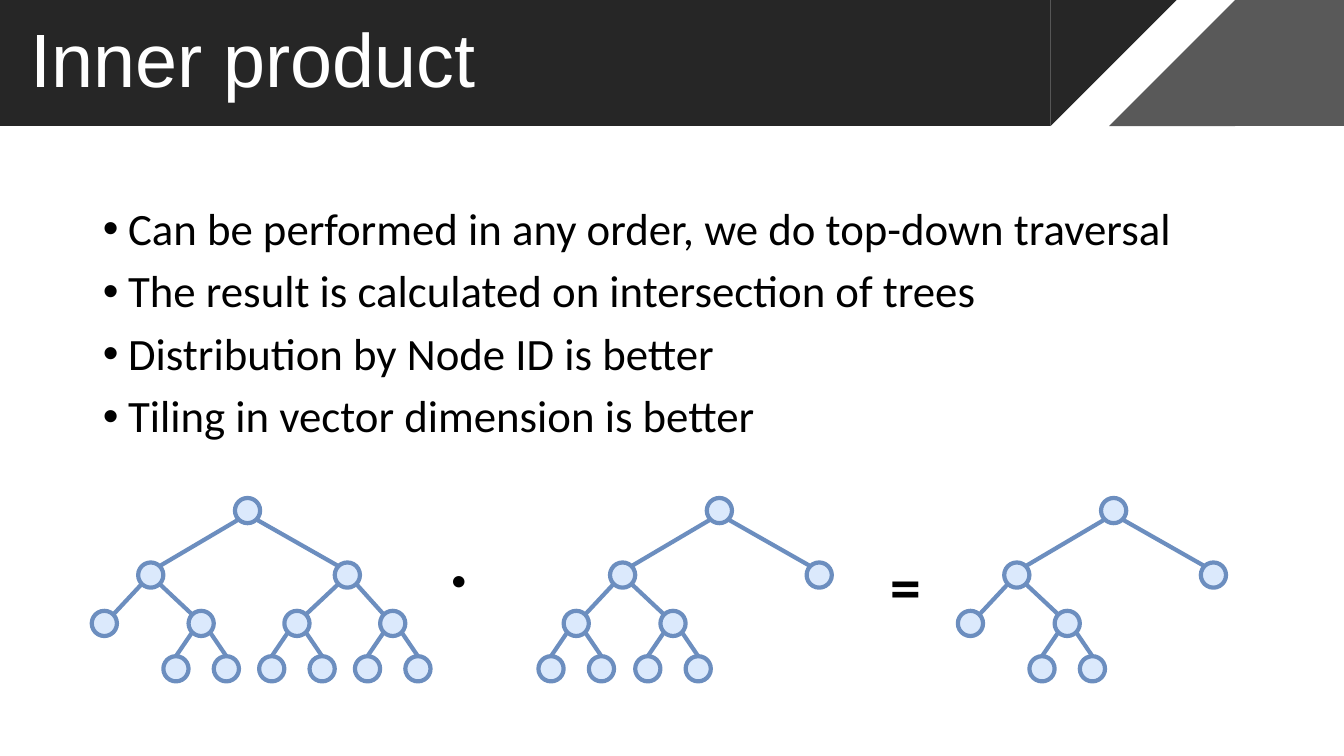
"""Build the slide on the inner product of two trees."""
from lxml.etree import SubElement
from pptx import Presentation
from pptx.dml.color import RGBColor
from pptx.enum.shapes import MSO_CONNECTOR, MSO_SHAPE
from pptx.enum.text import MSO_ANCHOR, MSO_AUTO_SIZE, PP_ALIGN
from pptx.oxml.ns import qn
from pptx.util import Inches, Pt

TITLE = "Inner product"
POINTS = [
    "Can be performed in any order, we do top-down traversal",
    "The result is calculated on intersection of trees",
    "Distribution by Node ID is better",
    "Tiling in vector dimension is better",
]
COLORS = {
    "dark": "262626", "gray": "595959", "node": "DBE9FC",
    "edge": "6C8EBF", "text": "000000", "title": "FFFFFF",
}
BANNER = [
    (MSO_SHAPE.RECTANGLE, 0, 10.42, "dark", 0),
    (MSO_SHAPE.RECTANGLE, 12.25, 1.08, "gray", 0),
    (MSO_SHAPE.ISOSCELES_TRIANGLE, 10.42, 1.25, "dark", 180),
    (MSO_SHAPE.ISOSCELES_TRIANGLE, 11, 1.25, "gray", 0),
]
BANNER_HEIGHT = 1.25
TREES = [
    (2.33, ["", "L", "R", "LL", "LR", "RL", "RR",
            "LRL", "LRR", "RLL", "RLR", "RRL", "RRR"]),
    (7.01, ["", "L", "R", "LL", "LR", "LLL", "LLR", "LRL", "LRR"]),
    (10.92, ["", "L", "R", "LL", "LR", "LRL", "LRR"]),
]
OPERATORS = [("=", 8.73, 5.39, 0.51, 0.84), ("·", 4.37, 5.29, 0.37, 0.84)]
LEVEL_TOPS = [4.94, 5.58, 6.06, 6.51]
BRANCH_X = {"": 0, "L": -0.96, "R": 0.99,
            "LL": -1.42, "LR": -0.46, "RL": 0.49, "RR": 1.44}
LEAF_STEP = 0.25
NODE = 0.25
RIM = 0.09


def color(name):
    return RGBColor.from_string(COLORS[name])


def side(path):
    return -1 if path[-1] == "L" else 1


def place(shape, left, top, width, height):
    shape.left, shape.top = Inches(left), Inches(top)
    shape.width, shape.height = Inches(width), Inches(height)


def write(paragraph, text, font_name, size, tint, bold=False):
    run = paragraph.add_run()
    run.text = text
    run.font.name, run.font.size, run.font.bold = font_name, Pt(size), bold
    run.font.color.rgb = color(tint)


def center(root_left, path):
    offset = BRANCH_X[path[:2]]
    if len(path) == 3:
        offset += side(path) * LEAF_STEP
    return root_left + offset + NODE / 2, LEVEL_TOPS[len(path)] + NODE / 2


def draw_tree(slide, root_left, paths):
    tree = slide.shapes.add_group_shape()
    nodes = {}
    for path in paths:
        x, y = center(root_left, path)
        node = tree.shapes.add_shape(
            MSO_SHAPE.OVAL, Inches(x - NODE / 2), Inches(y - NODE / 2),
            Inches(NODE), Inches(NODE))
        node.shadow.inherit = False
        node.fill.solid()
        node.fill.fore_color.rgb = color("node")
        node.line.color.rgb = color("edge")
        node.line.width = Pt(3)
        nodes[path] = node
    for path in paths[1:]:
        parent_x, parent_y = center(root_left, path[:-1])
        x, y = center(root_left, path)
        is_leaf = len(path) == 3
        end_x = x if is_leaf else x - side(path) * RIM
        end_y = y - (NODE / 2 if is_leaf else RIM)
        edge = tree.shapes.add_connector(
            MSO_CONNECTOR.STRAIGHT,
            Inches(parent_x + side(path) * RIM), Inches(parent_y + RIM),
            Inches(end_x), Inches(end_y))
        if is_leaf:
            edge.end_connect(nodes[path], 0)
        edge.line.color.rgb = color("edge")
        edge.line.width = Pt(3)
        SubElement(edge._element.spPr, qn("a:effectLst"))


def draw_banner(slide):
    for order, (kind, left, width, tint, turn) in enumerate(BANNER):
        band = slide.shapes.add_shape(
            kind, Inches(left), 0, Inches(width), Inches(BANNER_HEIGHT))
        if kind == MSO_SHAPE.ISOSCELES_TRIANGLE:
            band.adjustments[0] = 1
        band.rotation = turn
        band.shadow.inherit = False
        band.fill.solid()
        band.fill.fore_color.rgb = color(tint)
        band.line.fill.background()
        slide.shapes._spTree.insert(2 + order, band._element)


def fill_placeholders(slide):
    title, body = slide.shapes.title, slide.placeholders[1]
    place(title, 0.2, 0, 10.8, BANNER_HEIGHT)
    title.text_frame.auto_size = MSO_AUTO_SIZE.NONE
    title.text_frame.vertical_anchor = MSO_ANCHOR.MIDDLE
    heading = title.text_frame.paragraphs[0]
    heading.alignment = PP_ALIGN.LEFT
    heading.line_spacing = 0.9
    write(heading, TITLE, "Arial", 54, "title")

    place(body, 0.92, 2, 11.5, 4.76)
    frame = body.text_frame
    frame.auto_size = MSO_AUTO_SIZE.NONE
    for order, point in enumerate(POINTS):
        bullet = frame.add_paragraph() if order else frame.paragraphs[0]
        properties = bullet._p.get_or_add_pPr()
        properties.set("marL", str(Inches(0.25)))
        properties.set("indent", str(-Inches(0.25)))
        bullet.line_spacing = 0.9
        bullet.space_before = Pt(10 if order else 0)
        write(bullet, point, "Calibri", 32, "text")


def main():
    deck = Presentation()
    deck.slide_width, deck.slide_height = Inches(13.33), Inches(7.5)
    slide = deck.slides.add_slide(deck.slide_layouts[1])
    draw_banner(slide)
    fill_placeholders(slide)
    for root_left, paths in TREES:
        draw_tree(slide, root_left, paths)
    for symbol, left, top, width, height in OPERATORS:
        operator = slide.shapes.add_textbox(
            Inches(left), Inches(top), Inches(width), Inches(height))
        operator.text_frame.word_wrap = False
        operator.text_frame.auto_size = MSO_AUTO_SIZE.SHAPE_TO_FIT_TEXT
        write(operator.text_frame.paragraphs[0], symbol,
              "Calibri", 44, "text", bold=True)
    deck.save("out.pptx")


if __name__ == "__main__":
    main()
